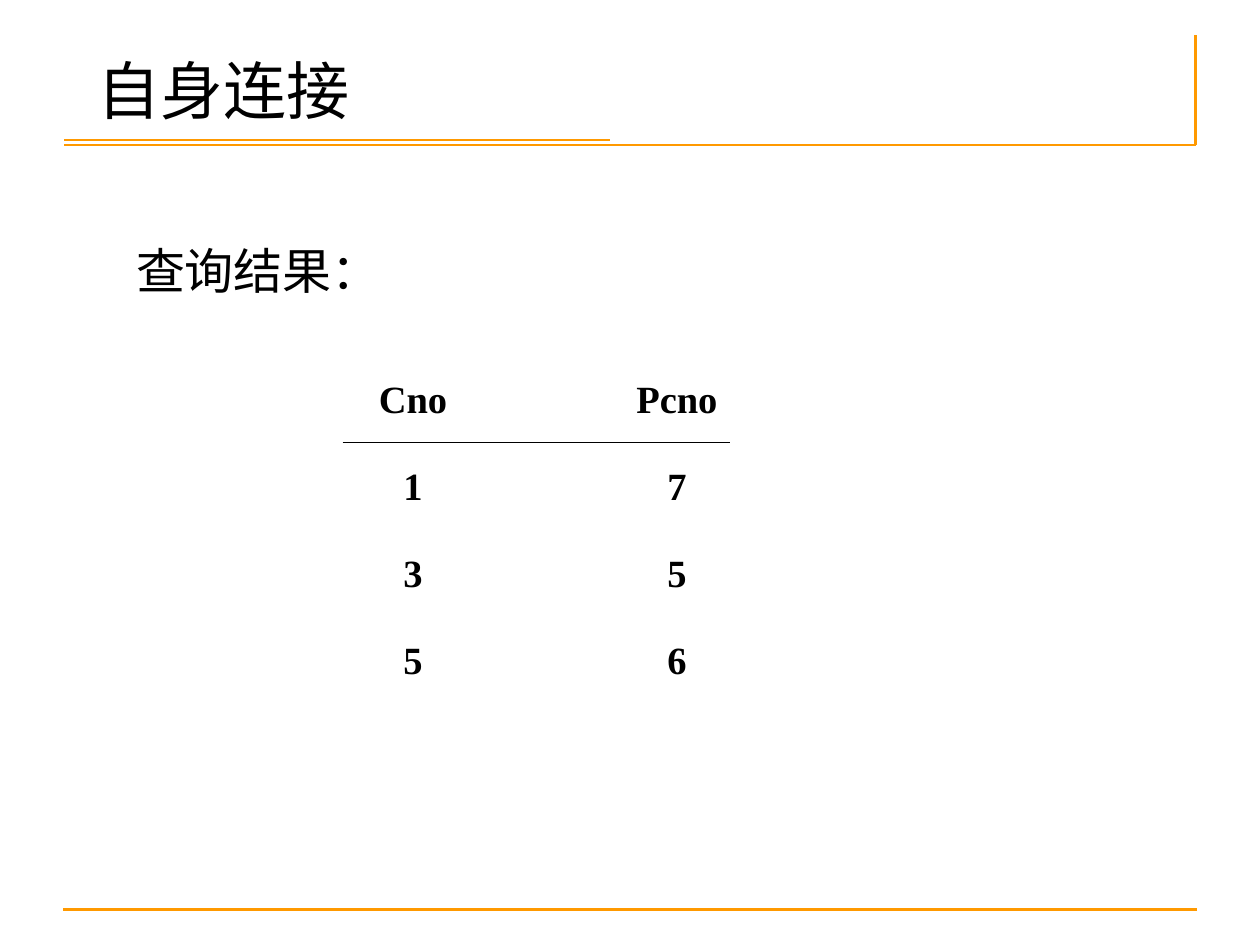
from dataclasses import dataclass

from lxml import etree
from pptx import Presentation
from pptx.dml.color import RGBColor
from pptx.enum.shapes import MSO_CONNECTOR
from pptx.enum.text import MSO_ANCHOR, MSO_AUTO_SIZE, PP_ALIGN
from pptx.oxml.ns import qn
from pptx.shapes.base import BaseShape
from pptx.slide import Slide
from pptx.text.text import TextFrame
from pptx.util import Inches, Pt

STRAIGHT = MSO_CONNECTOR.STRAIGHT
TOP = MSO_ANCHOR.TOP
NO_AUTOFIT = MSO_AUTO_SIZE.NONE
LEFT, CENTER = PP_ALIGN.LEFT, PP_ALIGN.CENTER


@dataclass(frozen=True)
class TextStyle:
    font: str
    size: float
    color: RGBColor
    bold: bool = False


@dataclass(frozen=True)
class Theme:
    orange: RGBColor = RGBColor(0xFF, 0x99, 0x00)
    black: RGBColor = RGBColor(0, 0, 0)
    title: TextStyle = TextStyle("Times New Roman", 36, black)
    body: TextStyle = TextStyle("Arial", 28, black)
    cell: TextStyle = TextStyle("Times New Roman", 22, black, True)


@dataclass(frozen=True)
class Rule:
    x1: float
    y1: float
    x2: float
    y2: float
    color: RGBColor
    width: float = 1.5


THEME = Theme()
FRAME_RULES = [
    Rule(0.5, 7.22, 9.5, 7.22, THEME.orange),
    Rule(0.51, 1.15, 9.49, 1.15, THEME.orange),
    Rule(9.49, 0.28, 9.49, 1.15, THEME.orange),
    Rule(0.51, 1.11, 4.84, 1.11, THEME.orange),
]
HEADER_RULE = Rule(2.72, 3.51, 5.79, 3.51, THEME.black, 0.75)
QUERY_RESULT = [("Cno", "Pcno"), ("1", "7"), ("3", "5"), ("5", "6")]


def write(frame: TextFrame, text: str, style: TextStyle, align: PP_ALIGN) -> None:
    paragraph = frame.paragraphs[0]
    paragraph.alignment = align
    run = paragraph.add_run()
    run.text = text
    run.font.name = style.font
    run.font.size = Pt(style.size)
    run.font.bold = style.bold
    run.font.color.rgb = style.color


def draw_rule(slide: Slide, rule: Rule) -> None:
    connector = slide.shapes.add_connector(
        STRAIGHT, Inches(rule.x1), Inches(rule.y1), Inches(rule.x2), Inches(rule.y2))
    connector.line.color.rgb = rule.color
    connector.line.width = Pt(rule.width)
    etree.SubElement(connector.element.spPr, qn("a:effectLst"))


def fill_placeholder(shape: BaseShape, box: tuple[float, float, float, float],
                     text: str, style: TextStyle) -> None:
    shape.left, shape.top, shape.width, shape.height = map(Inches, box)
    frame = shape.text_frame
    frame.auto_size = NO_AUTOFIT
    frame.vertical_anchor = TOP
    properties = frame.paragraphs[0]._p.get_or_add_pPr()
    properties.set("marL", "0")
    properties.set("indent", "0")
    etree.SubElement(properties, qn("a:buNone"))
    frame.paragraphs[0].space_before = Pt(0)
    write(frame, text, style, LEFT)


def draw_table(slide: Slide, rows: list[tuple[str, ...]]) -> None:
    table = slide.shapes.add_table(
        len(rows), len(rows[0]),
        Inches(2.23), Inches(2.96), Inches(4.19), Inches(2.76)).table
    table.first_row = False
    table.horz_banding = False
    for row_index, row in enumerate(rows):
        for column_index, text in enumerate(row):
            cell = table.cell(row_index, column_index)
            cell.fill.background()
            cell.vertical_anchor = TOP
            write(cell.text_frame, text, THEME.cell, CENTER)


def main() -> None:
    presentation = Presentation()
    presentation.slide_width = Inches(10)
    presentation.slide_height = Inches(7.5)
    slide = presentation.slides.add_slide(presentation.slide_layouts[1])

    # Frame lines
    for rule in FRAME_RULES:
        draw_rule(slide, rule)

    # Title and lead-in
    fill_placeholder(slide.shapes.title, (0.67, 0.36, 8.08, 0.61),
                     "自身连接", THEME.title)
    fill_placeholder(slide.placeholders[1], (0.98, 1.86, 4.42, 0.65),
                     "查询结果：", THEME.body)

    # Query result
    draw_table(slide, QUERY_RESULT)
    draw_rule(slide, HEADER_RULE)

    presentation.save("out.pptx")


if __name__ == "__main__":
    main()
